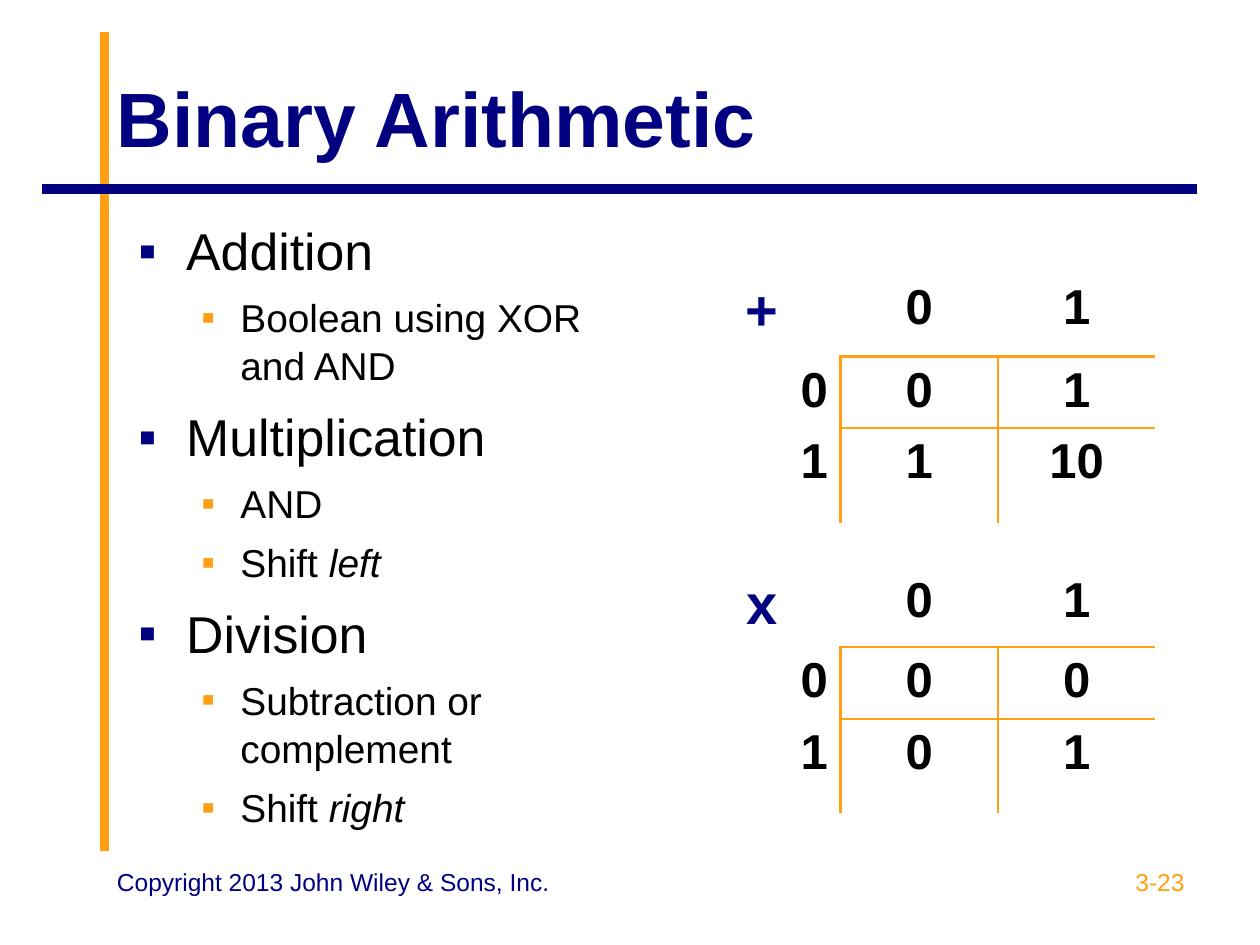
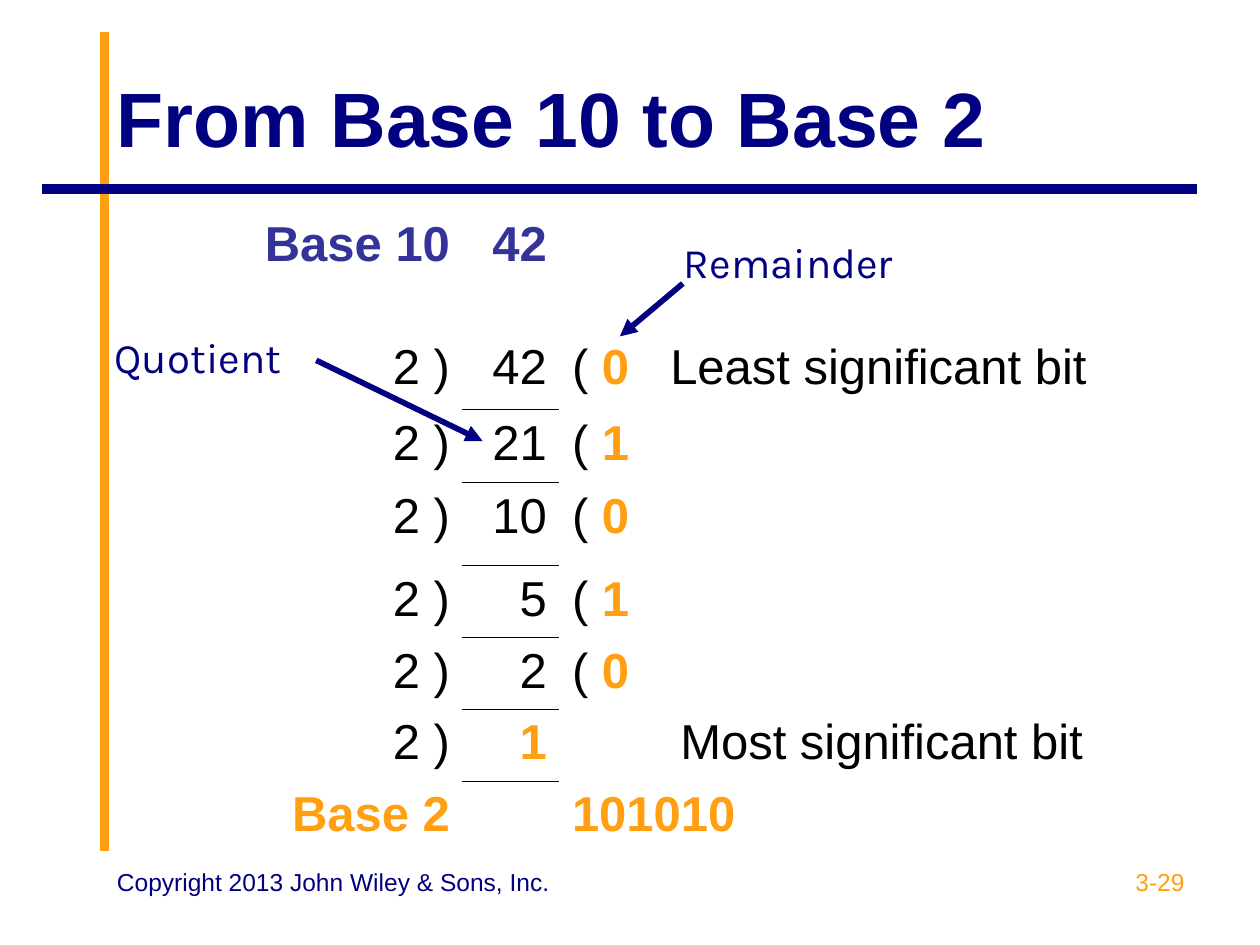
from pptx import Presentation
from pptx.dml.color import RGBColor
from pptx.enum import shapes, text
from pptx.oxml import ns, xmlchemy
from pptx.util import Inches, Pt

NAVY = RGBColor(0x00, 0x00, 0x80)
ORANGE = RGBColor(0xFF, 0x9F, 0x11)
INDIGO = RGBColor(0x33, 0x33, 0x99)
BLACK = RGBColor(0, 0, 0)
LEFT, CENTER, RIGHT = text.PP_ALIGN.LEFT, text.PP_ALIGN.CENTER, text.PP_ALIGN.RIGHT
PLAIN_TABLE = "{2D5ABB26-0587-4C30-8999-92F81FD0307C}"
COPYRIGHT = "Copyright 2013 John Wiley & Sons, Inc."


def add_element(parent, tag, position=None, **attributes):
    """Add a drawing element to parent, at the end or at a position."""
    child = xmlchemy.OxmlElement(tag)
    for key, value in attributes.items():
        child.set(key, str(value))
    parent.insert(len(parent) if position is None else position, child)
    return child


def add_run(paragraph, words, size, color, bold=False, italic=False, font="Arial"):
    """Add one formatted run."""
    run = paragraph.add_run()
    run.text = words
    run.font.name, run.font.size = font, Pt(size)
    run.font.bold, run.font.italic = bold, italic
    run.font.color.rgb = color


def set_indent(paragraph, margin, first=0):
    """Set the left margin and first-line indent in inches."""
    properties = paragraph._p.get_or_add_pPr()
    properties.set("marL", str(Inches(margin)))
    properties.set("indent", str(Inches(first)))
    return properties


def add_frame(slide, box, anchor=text.MSO_ANCHOR.TOP):
    """Add a wrapping text box and return its text frame."""
    frame = slide.shapes.add_textbox(*map(Inches, box)).text_frame
    frame.word_wrap = True
    frame.vertical_anchor = anchor
    return frame


def add_label(slide, box, words, size, color, align=LEFT, font="Arial", margin=0):
    """Add a one-line label."""
    paragraph = add_frame(slide, box).paragraphs[0]
    paragraph.alignment = align
    set_indent(paragraph, margin)
    add_run(paragraph, words, size, color, font=font)


def add_line(slide, start, end, color, width, arrow=False):
    """Draw a straight line, optionally with an arrowhead at its end."""
    line = slide.shapes.add_connector(
        shapes.MSO_CONNECTOR.STRAIGHT, *map(Inches, (*start, *end)))
    line.line.color.rgb = color
    line.line.width = Pt(width)
    if arrow:
        add_element(line.line._get_or_add_ln(), "a:tailEnd", type="triangle")
    add_element(line._element.spPr, "a:effectLst")


def add_base(deck, title, number):
    """Add a slide with the shared rules, title and footer."""
    slide = deck.slides.add_slide(deck.slide_layouts[6])
    add_line(slide, (0.83, 6.75), (0.83, 0.25), ORANGE, 5.5)
    add_line(slide, (9.5, 1.5), (0.33, 1.5), NAVY, 5.5)
    heading = add_frame(slide, (0.83, 0.3, 8.67, 1.25), text.MSO_ANCHOR.MIDDLE)
    add_run(heading.paragraphs[0], title, 44, NAVY, bold=True)
    add_label(slide, (7.17, 6.83, 2.33, 0.52), number, 14, ORANGE, RIGHT)
    add_label(slide, (0.83, 6.83, 3.67, 0.52), COPYRIGHT, 14, NAVY)
    return slide


def add_outline(slide, box, items):
    """Add a two-level bulleted list; each item is a level and its plain and italic words."""
    styles = ((0.38, -0.38, 8, 29.6, NAVY), (0.81, -0.31, 6, 22.2, ORANGE))
    frame = add_frame(slide, box)
    for index, (level, words, emphasis) in enumerate(items):
        margin, first, gap, size, bullet = styles[level]
        paragraph = frame.add_paragraph() if index else frame.paragraphs[0]
        paragraph.level = level
        paragraph.line_spacing = 1.04
        if index:
            paragraph.space_before = Pt(gap)
        properties = set_indent(paragraph, margin, first)
        add_element(add_element(properties, "a:buClr"), "a:srgbClr", val=bullet)
        add_element(properties, "a:buFont", typeface="Arial")
        add_element(properties, "a:buChar", char="▪")
        add_run(paragraph, words, size, BLACK)
        if emphasis:
            add_run(paragraph, emphasis, size, BLACK, italic=True)


def add_grid(slide, left, top, widths, heights):
    """Add an unstyled, unfilled table."""
    grid = slide.shapes.add_table(
        len(heights), len(widths), Inches(left), Inches(top),
        Inches(sum(widths)), Inches(sum(heights))).table
    grid.first_row = grid.horz_banding = False
    grid._tbl.tblPr.find(ns.qn("a:tableStyleId")).text = PLAIN_TABLE
    for column, width in zip(grid.columns, widths):
        column.width = Inches(width)
    for row, height in zip(grid.rows, heights):
        row.height = Inches(height)
    for cell in grid.iter_cells():
        cell.fill.background()
    return grid


def set_borders(cell, sides, color, width):
    """Draw the named sides (from L, R, T, B in that order) of a cell."""
    for position, side in enumerate(sides):
        edge = add_element(cell._tc.get_or_add_tcPr(), f"a:ln{side}", position, w=Pt(width))
        add_element(add_element(edge, "a:solidFill"), "a:srgbClr", val=color)


def write_cell(cell, align, *runs):
    """Fill a cell with runs of words, colour and boldness at 28 points."""
    paragraph = cell.text_frame.paragraphs[0]
    paragraph.alignment = align
    for words, color, bold in runs:
        add_run(paragraph, words, 28, color, bold)
    return paragraph


def add_operation(slide, left, top, heights, operator, results):
    """Add a truth table for a binary operator on 0 and 1."""
    grid = add_grid(slide, left, top, [1.25] * 3, heights)
    corner = grid.cell(0, 0).text_frame.paragraphs[0]
    corner.alignment = CENTER
    add_run(corner, operator, 32, NAVY, bold=True)
    for digit in (0, 1):
        column_head, row_head = grid.cell(0, digit + 1), grid.cell(digit + 1, 0)
        write_cell(column_head, CENTER, (str(digit), BLACK, True))
        set_borders(column_head, "B", ORANGE, 1.47)
        write_cell(row_head, RIGHT, (str(digit), BLACK, True))
        set_borders(row_head, "R", ORANGE, 1.47)
        for other in (0, 1):
            result = grid.cell(digit + 1, other + 1)
            write_cell(result, CENTER, (results[digit][other], BLACK, True))
            sides = ("" if other else "L") + ("" if digit else "T")
            set_borders(result, sides, ORANGE, 1.47)


def add_division(slide, left, top):
    """Add the repeated division of 42 by 2 with its remainders."""
    heights = [0.57, 0.41, 0.6, 0.58, 0.66, 0.57, 0.57, 0.57, 0.57]
    grid = add_grid(slide, left, top, [1.75, 0.77, 4.71], heights)
    write_cell(grid.cell(0, 0), RIGHT, ("Base 10", INDIGO, True))
    write_cell(grid.cell(0, 1), RIGHT, ("42", INDIGO, True))
    value = 42
    for row in range(2, 8):
        last = value == 1
        write_cell(grid.cell(row, 0), RIGHT, ("2 )", BLACK, False))
        quotient = grid.cell(row, 1)
        write_cell(quotient, RIGHT, (str(value), ORANGE if last else BLACK, last))
        set_borders(quotient, "B" if row == 2 else "TB", BLACK, 0.45)
        if not last:
            remainder = write_cell(grid.cell(row, 2), LEFT, ("( ", BLACK, False),
                                   (str(value % 2), ORANGE, True))
            if row == 2:
                stops = add_element(remainder._p.get_or_add_pPr(), "a:tabLst")
                add_element(stops, "a:tab", pos=Inches(0.78), algn="l")
                add_run(remainder, "\tLeast significant bit", 28, BLACK)
        value //= 2
    most = write_cell(grid.cell(7, 2), LEFT, ("Most significant bit", BLACK, False))
    set_indent(most, 0.86)
    write_cell(grid.cell(8, 0), RIGHT, ("Base 2", ORANGE, True))
    set_borders(grid.cell(8, 1), "T", BLACK, 0.45)
    write_cell(grid.cell(8, 2), LEFT, ("101010", ORANGE, True))


def add_arithmetic_slide(deck):
    """Build the binary arithmetic slide."""
    slide = add_base(deck, "Binary Arithmetic", "3-23")
    add_outline(slide, (1, 1.67, 4.17, 4.95), [
        (0, "Addition", ""),
        (1, "Boolean using XOR and AND", ""),
        (0, "Multiplication", ""),
        (1, "AND", ""),
        (1, "Shift ", "left"),
        (0, "Division", ""),
        (1, "Subtraction or complement", ""),
        (1, "Shift ", "right"),
    ])
    add_operation(slide, 5.42, 2.17, [0.66, 0.57, 0.75], "+", (("0", "1"), ("1", "10")))
    add_operation(slide, 5.42, 4.5, [0.63, 0.57, 0.75], "x", (("0", "0"), ("0", "1")))


def add_conversion_slide(deck):
    """Build the base conversion slide."""
    slide = add_base(deck, "From Base 10 to Base 2", "3-29")
    add_division(slide, 1.92, 1.67)
    add_label(slide, (5.33, 1.83, 2, 0.5), "Remainder", 24, NAVY, font="Karla")
    add_line(slide, (5.42, 2.25), (4.92, 2.67), NAVY, 3.25, arrow=True)
    add_label(slide, (0.67, 2.58, 1.85, 0.5), "Quotient", 24, NAVY, font="Karla", margin=0.14)
    add_line(slide, (2.51, 2.86), (3.83, 3.5), NAVY, 3.25, arrow=True)


def main():
    """Build and save the deck."""
    deck = Presentation()
    deck.slide_width, deck.slide_height = Inches(10), Inches(7.5)
    add_arithmetic_slide(deck)
    add_conversion_slide(deck)
    deck.save("out.pptx")


if __name__ == "__main__":
    main()
